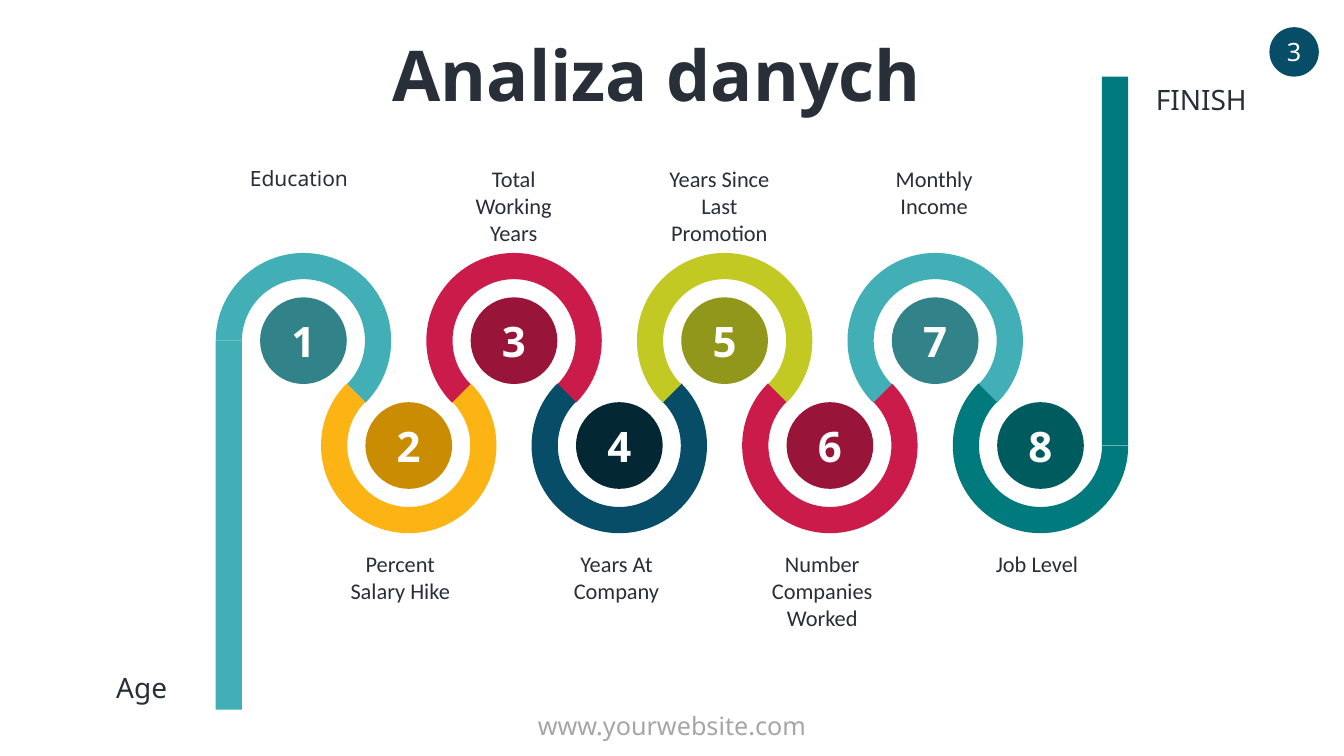
"""Builds a winding eight-step roadmap slide from Age to FINISH."""
from pptx import Presentation
from pptx import util as u
from pptx.dml.color import RGBColor
from pptx.enum import shapes, text

INK, WHITE, NAVY, GREY = "282F39", "FFFFFF", "074D67", "A6A6A6"
HEADING, BODY = "Noto Sans", "Calibri"
FIRST_X, LAST_X = 3.01, 10.32
UPPER_Y, LOWER_Y = 3.38, 4.42
RADIUS, THICKNESS, DISC = 0.87, 0.26, 0.86
STEM_BOTTOM, STEM_TOP = 7.04, 0.76
LABEL_UPPER_Y, LABEL_LOWER_Y = 1.59, 5.41

STEPS = [
    ("Education", "42AFB6", "318389", 2.31, 1.31, 0.35, HEADING, 15),
    ("Percent Salary Hike", "FCB414", "C98C03", 3.25, 1.44, 0.64, BODY, 16),
    ("Total Working Years", "CB1B4A", "981438", 4.44, 1.31, 0.91, BODY, 16),
    ("Years At Company", NAVY, "042734", 5.46, 1.31, 0.64, BODY, 16),
    ("Years Since Last Promotion", "C2C923", "91971A", 6.48, 1.31, 0.91, BODY, 16),
    ("Number Companies\nWorked", "CB1B4A", "981438", 7.5, 1.31, 0.91, BODY, 16),
    ("Monthly Income", "42AFB6", "318389", 8.61, 1.31, 0.64, BODY, 16),
    ("Job Level", "007A7D", "005B5E", 9.63, 1.31, 0.37, BODY, 16),
]


def rgb(value):
    """Turn a hex string into a colour."""
    return RGBColor.from_string(value)


def add_solid(s, kind, box, color):
    """Add a flat preset shape with no line or shadow."""
    sp = s.shapes.add_shape(kind, *map(u.Inches, box))
    sp.fill.solid()
    sp.fill.fore_color.rgb = rgb(color)
    sp.line.fill.background()
    sp.shadow.inherit = False
    return sp


def write(tf, words, size, color, font=HEADING, bold=False):
    """Write one centred paragraph, breaking at newlines."""
    p = tf.paragraphs[0]
    p.alignment = text.PP_ALIGN.CENTER
    for i, line in enumerate(words.split("\n")):
        if i:
            p.add_line_break()
        r = p.add_run()
        r.text = line
        r.font.name = font
        r.font.size = u.Pt(size)
        r.font.bold = bold
        r.font.color.rgb = rgb(color)


def add_label(s, words, box, size, color=INK, font=HEADING, bold=False):
    """Add a wrapping text box that grows with its text."""
    tf = s.shapes.add_textbox(*map(u.Inches, box)).text_frame
    tf.word_wrap = True
    tf.auto_size = text.MSO_AUTO_SIZE.SHAPE_TO_FIT_TEXT
    write(tf, words, size, color, font, bold)


def add_disc(s, words, left, top, diameter, color, size, bold, wrap=True):
    """Add a filled circle holding a number."""
    sp = add_solid(s, shapes.MSO_SHAPE.OVAL, (left, top, diameter, diameter), color)
    tf = sp.text_frame
    tf.word_wrap = wrap
    tf.vertical_anchor = text.MSO_ANCHOR.MIDDLE
    write(tf, words, size, WHITE, bold=bold)


def add_band(s, cx, cy, start, end, color):
    """Add a curved road section running clockwise between two angles."""
    box = (cx - RADIUS, cy - RADIUS, 2 * RADIUS, 2 * RADIUS)
    sp = add_solid(s, shapes.MSO_SHAPE.BLOCK_ARC, box, color)
    sp.adjustments[0] = start * 0.6
    sp.adjustments[1] = end * 0.6
    sp.adjustments[2] = THICKNESS / (2 * RADIUS)


def add_stem(s, left, top, bottom, color):
    """Add a straight vertical road section."""
    box = (left, top, THICKNESS, bottom - top)
    add_solid(s, shapes.MSO_SHAPE.RECTANGLE, box, color)


def add_step(s, step, words, band, disc, left, width, height, font, size):
    """Add a step's road section, numbered disc and label."""
    upper = step % 2 == 1
    cx = FIRST_X + (step - 1) * (LAST_X - FIRST_X) / (len(STEPS) - 1)
    cy = UPPER_Y if upper else LOWER_Y
    start, end = (135, 45) if upper else (315, 225)
    if step == 1:
        start = 180
        add_stem(s, cx - RADIUS, cy, STEM_BOTTOM, band)
    elif step == len(STEPS):
        start = 0
        add_stem(s, cx + RADIUS - THICKNESS, STEM_TOP, cy, band)
    add_band(s, cx, cy, start, end, band)
    add_disc(s, str(step), cx - DISC / 2, cy - DISC / 2, DISC, disc, 30, True)
    top = LABEL_UPPER_Y if upper else LABEL_LOWER_Y
    add_label(s, words, (left, top, width, height), size, font=font)


def main():
    """Build and save the slide."""
    prs = Presentation()
    prs.slide_width, prs.slide_height = u.Inches(13.33), u.Inches(7.5)
    s = prs.slides.add_slide(prs.slide_layouts[6])
    add_label(s, "Analiza danych", (2.87, 0.26, 7.29, 0.94), 50, bold=True)
    for step, details in enumerate(STEPS, 1):
        add_step(s, step, *details)
    add_label(s, "Age", (0.82, 6.6, 1.17, 0.44), 20)
    add_label(s, "FINISH", (11.36, 0.77, 1.11, 0.44), 20)
    add_disc(s, "3", 12.59, 0.27, 0.49, NAVY, 18, False, wrap=False)
    add_label(s, "www.yourwebsite.com", (0, 7, 13.33, 0.4), 18, GREY)
    prs.save("out.pptx")


if __name__ == "__main__":
    main()
